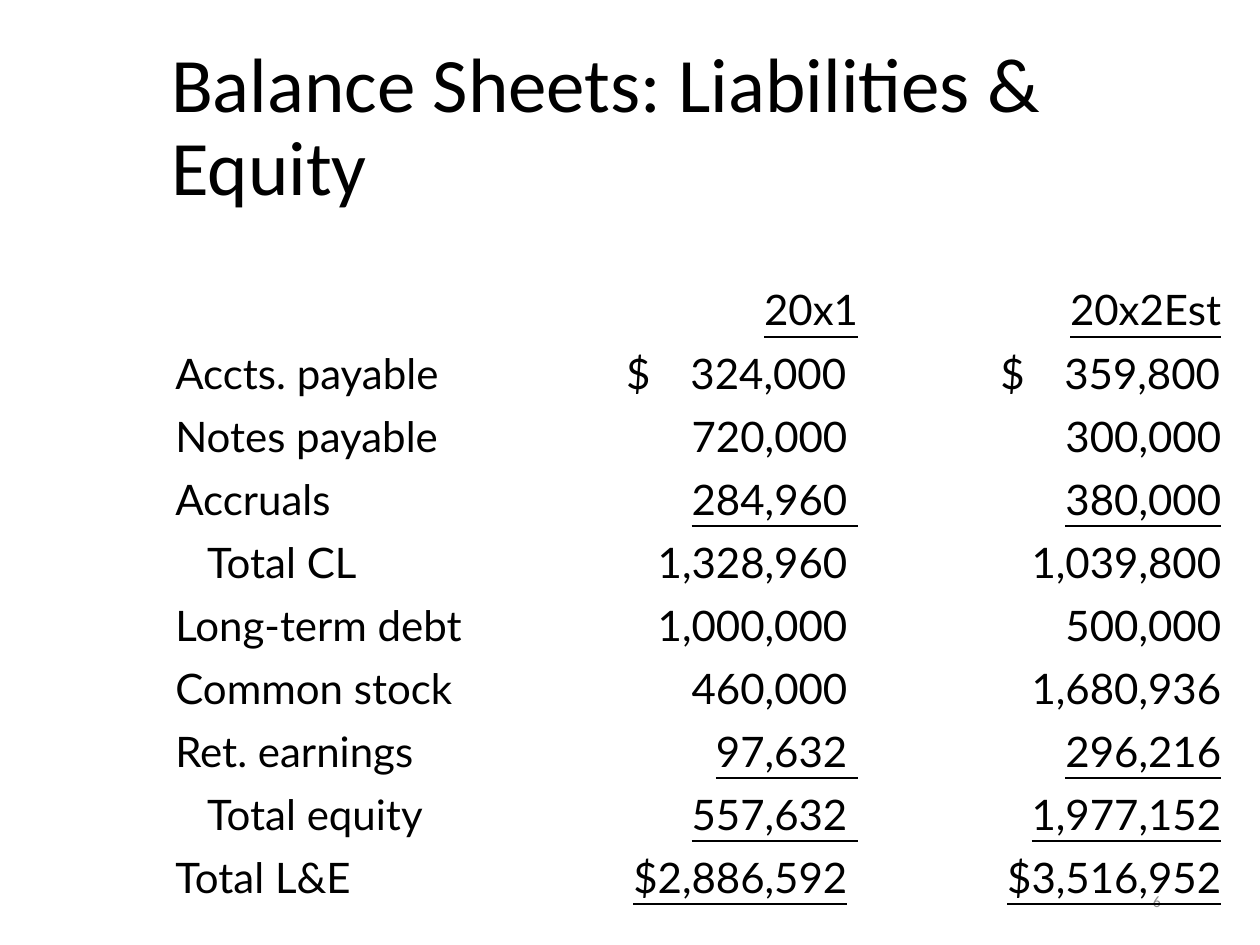
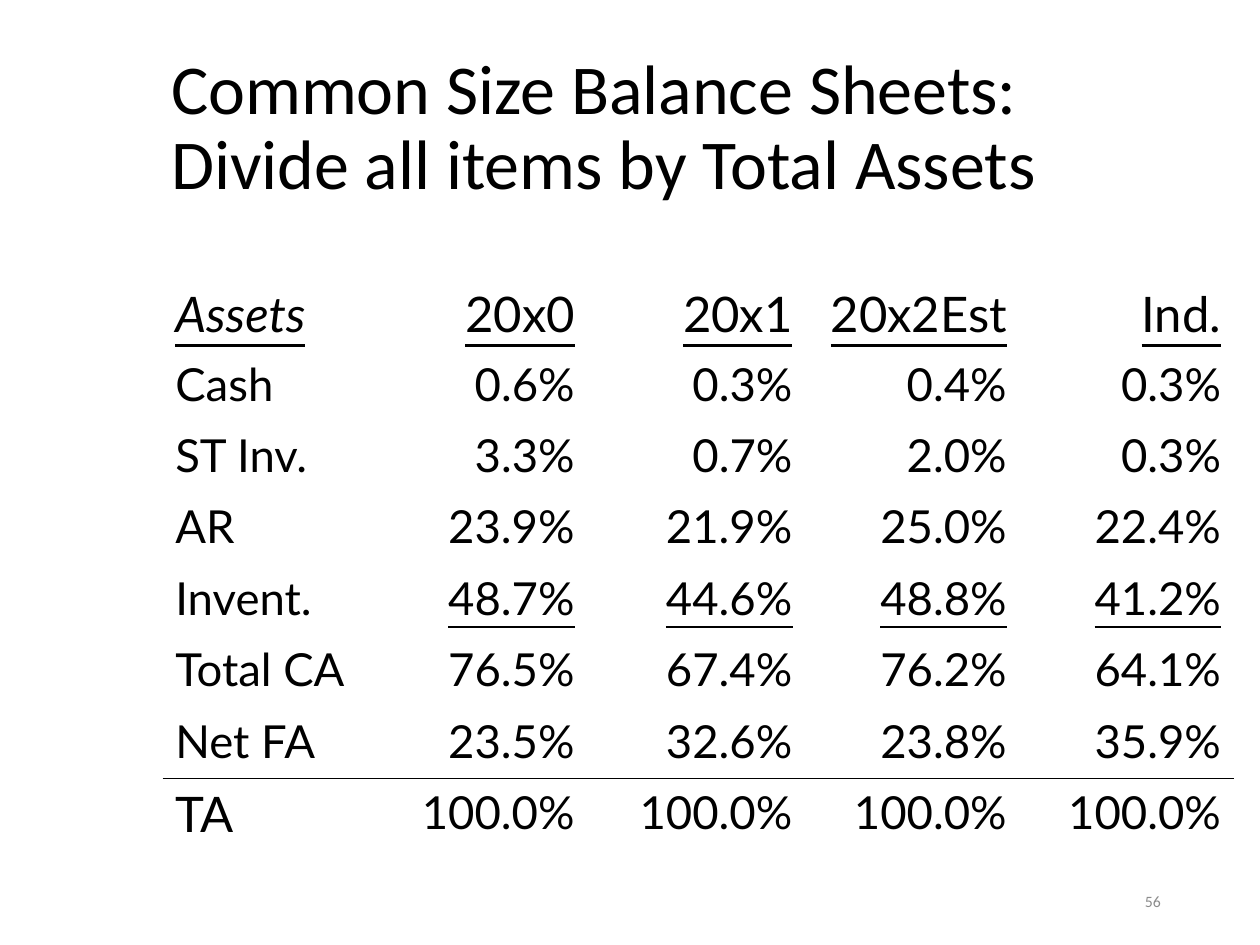
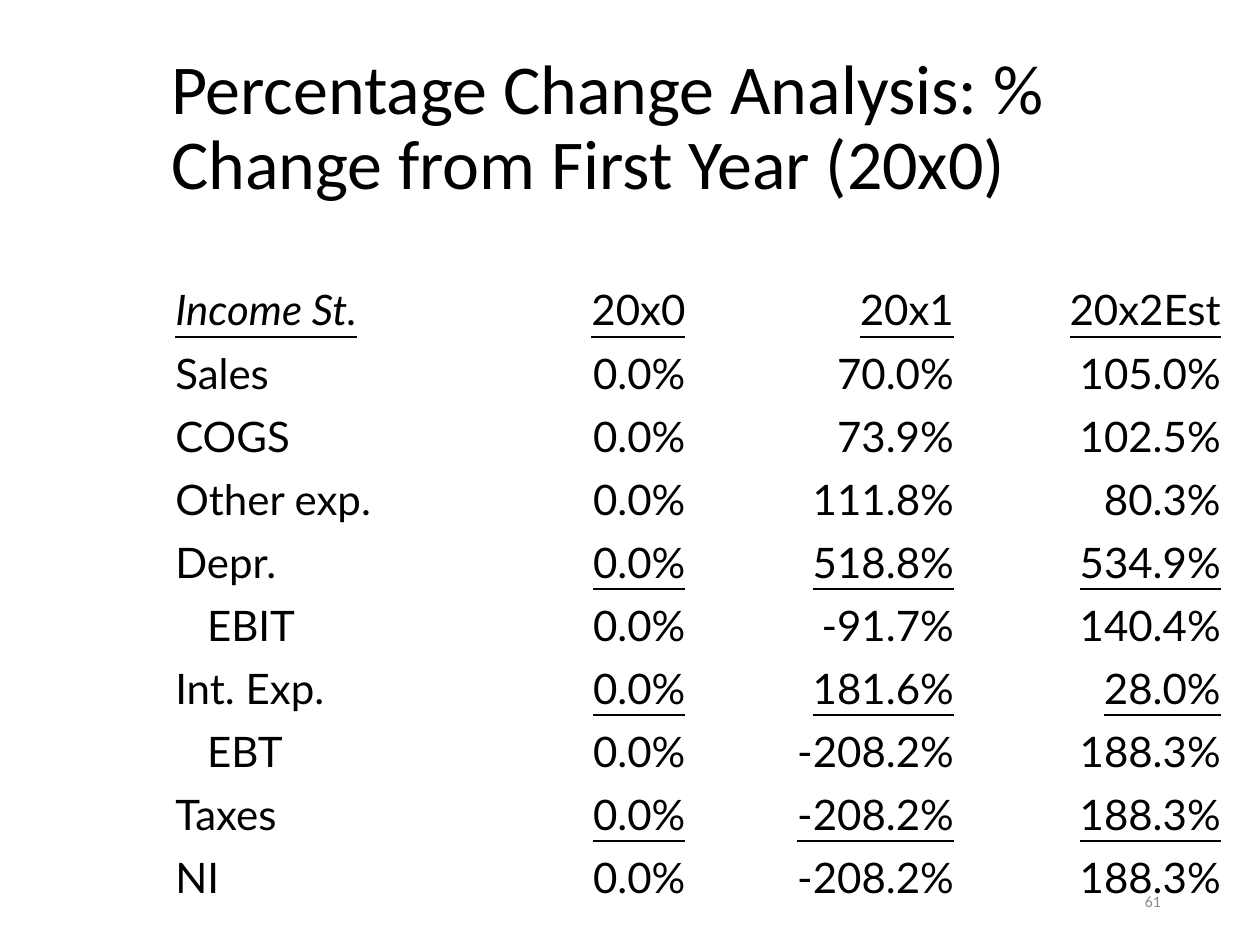
from lxml import etree
from pptx import Presentation
from pptx import util as u
from pptx.dml.color import RGBColor
from pptx.enum import text
from pptx.oxml import ns

BLACK, GRAY = "000000", "8C8C8C"
TITLE_FONT, TABLE_FONT = "Calibri", "Lato"
NO_STYLE = "{2D5ABB26-0587-4C30-8999-92F81FD0307C}"
CELL_INSETS = 0.51
DOLLAR_GAP, SPACE_WIDTH = 4.43, 0.22

SLIDES = [
    {
        "title": "Balance Sheets: Liabilities & Equity",
        "title_size": 44,
        "number": "6",
        "columns": [7.26, 7.01, 7.32],
        "row_height": 1.27,
        "head_size": 24,
        "body_size": 24,
        "rows": [
            ("", "20x1", "20x2Est"),
            ("Accts. payable", "\t$\t324,000 ", "\t$\t359,800"),
            ("Notes payable", "720,000 ", "300,000"),
            ("Accruals", "284,960 ", "380,000"),
            ("Total CL", "1,328,960 ", "1,039,800"),
            ("Long-term debt", "1,000,000 ", "500,000"),
            ("Common stock", "460,000 ", "1,680,936"),
            ("Ret. earnings", "97,632 ", "296,216"),
            ("Total equity", "557,632 ", "1,977,152"),
            ("Total L&E", "$2,886,592| ", "$3,516,952"),
        ],
        "underlined": {"Accruals", "Ret. earnings", "Total equity", "Total L&E"},
        "indented": {"Total CL", "Total equity"},
    },
    {
        "title": "Common Size Balance Sheets:\vDivide all items by Total Assets",
        "title_size": 40,
        "number": "56",
        "columns": [4.32, 4.24, 4.39, 4.32, 4.32],
        "row_height": 1.44,
        "head_size": 28,
        "body_size": 26,
        "rows": [
            ("Assets", "20x0", "20x1", "20x2Est", "Ind."),
            ("Cash", "0.6%", "0.3%", "0.4%", "0.3%"),
            ("ST Inv.", "3.3%", "0.7%", "2.0%", "0.3%"),
            ("AR", "23.9%", "21.9%", "25.0%", "22.4%"),
            ("Invent.", "48.7%", "44.6%", "48.8%", "41.2%"),
            ("Total CA", "76.5%", "67.4%", "76.2%", "64.1%"),
            ("Net FA", "23.5%", "32.6%", "23.8%", "35.9%"),
            ("TA", "100.0%", "100.0%", "100.0%", "100.0%"),
        ],
        "underlined": {"Invent."},
        "large_labels": {"TA"},
        "borders": {"Net FA": "lnB", "TA": "lnT"},
    },
    {
        "title": "Percentage Change Analysis: % Change from First Year (20x0)",
        "title_size": 40,
        "number": "61",
        "columns": [5.41, 5.38, 5.41, 5.38],
        "row_height": 1.27,
        "head_size": 24,
        "body_size": 24,
        "rows": [
            ("Income St.", "20x0", "20x1", "20x2Est"),
            ("Sales", "0.0%", "70.0%", "105.0%"),
            ("COGS", "0.0%", "73.9%", "102.5%"),
            ("Other exp.", "0.0%", "111.8%", "80.3%"),
            ("Depr.", "0.0%", "518.8%", "534.9%"),
            ("EBIT", "0.0%", "-91.7%", "140.4%"),
            ("Int. Exp.", "0.0%", "181.6%", "28.0%"),
            ("EBT", "0.0%", "-208.2%", "188.3%"),
            ("Taxes", "0.0%", "-208.2%", "188.3%"),
            ("NI", "0.0%", "-208.2%", "188.3%"),
        ],
        "underlined": {"Depr.", "Int. Exp.", "Taxes"},
        "indented": {"EBIT", "EBT"},
    },
]


def style_font(font, name, size, color):
    font.name = name
    font.size = u.Pt(size)
    font.color.rgb = RGBColor.from_string(color)


def add_text(page, content, place, size, color, align):
    box = page.shapes.add_textbox(*map(u.Cm, place))
    frame = box.text_frame
    frame.word_wrap = True
    frame.vertical_anchor = text.MSO_ANCHOR.MIDDLE
    para = frame.paragraphs[0]
    para.text = content
    para.alignment = align
    for span in para.runs:
        style_font(span.font, TITLE_FONT, size, color)
    return para


def add_tab_stops(para, value, width):
    right = width - CELL_INSETS - 0.02
    dollar = right - DOLLAR_GAP - (SPACE_WIDTH if value.endswith(" ") else 0)
    stops = etree.SubElement(para._p.get_or_add_pPr(), ns.qn("a:tabLst"))
    for position, align in ((dollar, "l"), (right, "r")):
        etree.SubElement(stops, ns.qn("a:tab"), pos=str(u.Cm(position)), algn=align)


def add_border(cell, side):
    line = etree.Element(ns.qn("a:" + side), w=str(u.Pt(1)))
    fill = etree.SubElement(line, ns.qn("a:solidFill"))
    etree.SubElement(fill, ns.qn("a:srgbClr"), val=BLACK)
    cell._tc.get_or_add_tcPr().insert(0, line)


def fill_cell(cell, value, size, align, underline, italic):
    para = cell.text_frame.paragraphs[0]
    para.alignment = align
    main, _, plain_tail = value.partition("|")
    for part, underlined in ((main, underline), (plain_tail, False)):
        if part:
            span = para.add_run()
            span.text = part
            style_font(span.font, TABLE_FONT, size, BLACK)
            span.font.underline = underlined
            span.font.italic = italic
    return para


def add_statement(page, data):
    rows, widths = data["rows"], data["columns"]
    frame = page.shapes.add_table(
        len(rows), len(widths), u.Cm(3.28), u.Cm(5.61),
        u.Cm(sum(widths)), u.Cm(data["row_height"] * len(rows)))
    table = frame.table
    table.first_row = table.horz_banding = False
    table._tbl.tblPr.find(ns.qn("a:tableStyleId")).text = NO_STYLE
    for column, width in zip(table.columns, widths):
        column.width = u.Cm(width)
    for r, values in enumerate(rows):
        table.rows[r].height = u.Cm(data["row_height"])
        label, is_head = values[0], r == 0
        for c, value in enumerate(values):
            is_label, tabbed = c == 0, "\t" in value
            large = is_head or (is_label and label in data.get("large_labels", ()))
            left = is_label or tabbed
            cell = table.cell(r, c)
            cell.fill.background()
            para = fill_cell(
                cell, value,
                data["head_size"] if large else data["body_size"],
                text.PP_ALIGN.LEFT if left else text.PP_ALIGN.RIGHT,
                is_head or (not is_label and label in data["underlined"]),
                is_head and is_label)
            if tabbed:
                add_tab_stops(para, value, widths[c])
            if is_label and label in data.get("indented", ()):
                para._p.get_or_add_pPr().set("marL", str(u.Cm(0.64)))
            if label in data.get("borders", {}):
                add_border(cell, data["borders"][label])


def main():
    deck = Presentation()
    deck.slide_width, deck.slide_height = u.Cm(25.4), u.Cm(19.05)
    for data in SLIDES:
        page = deck.slides.add_slide(deck.slide_layouts[6])
        add_text(page, data["number"], (17.93, 17.65, 5.72, 1.02), 9, GRAY,
                 text.PP_ALIGN.RIGHT)
        title = add_text(page, data["title"], (3.2, 0.58, 21.64, 4.06),
                         data["title_size"], BLACK, text.PP_ALIGN.LEFT)
        title.line_spacing = 0.9
        add_statement(page, data)
    deck.save("out.pptx")


if __name__ == "__main__":
    main()
